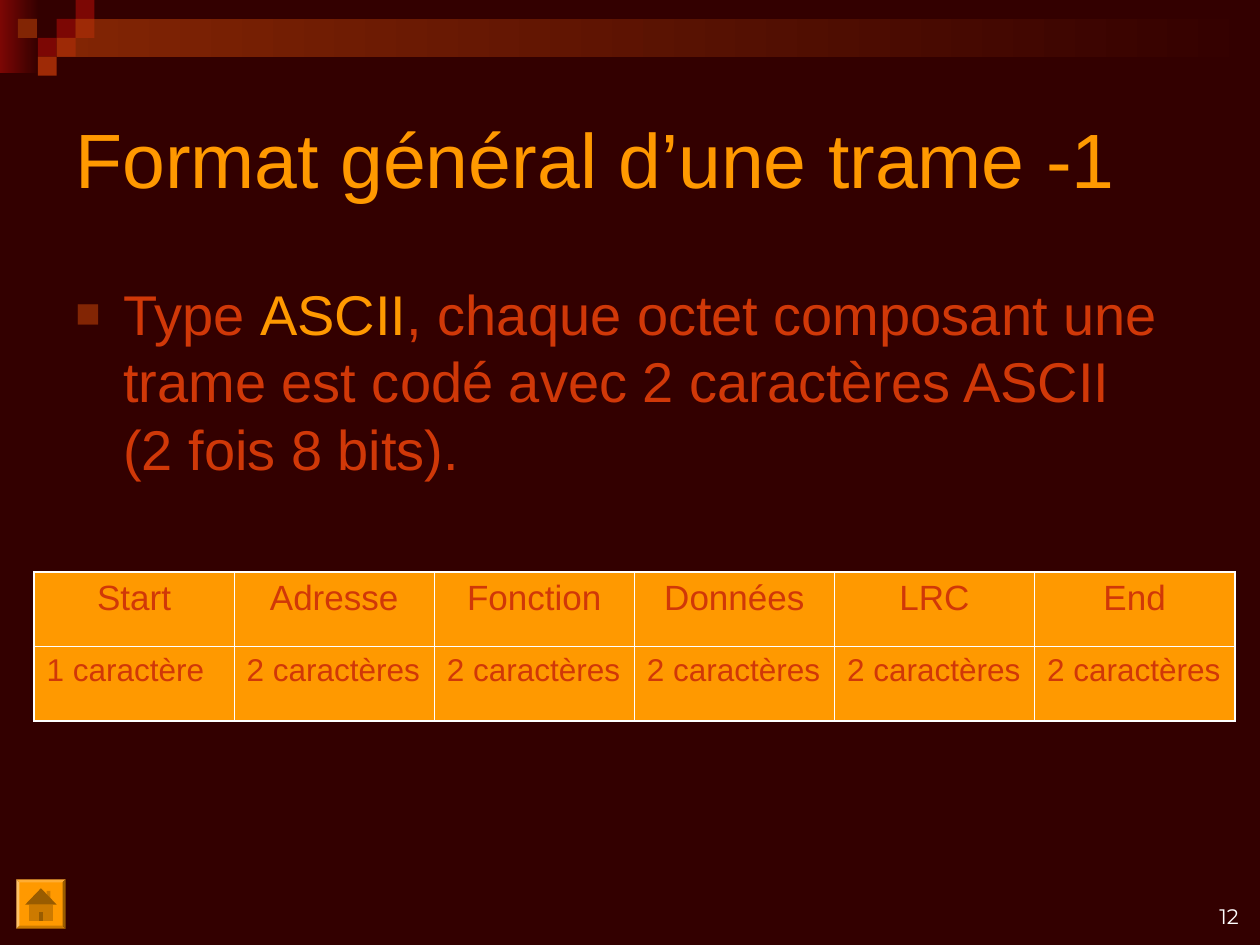
from dataclasses import dataclass

from lxml.etree import SubElement
from pptx import Presentation
from pptx.dml.color import RGBColor
from pptx.enum.shapes import MSO_SHAPE
from pptx.enum.text import MSO_ANCHOR, PP_ALIGN
from pptx.oxml.ns import qn
from pptx.util import Inches, Pt


@dataclass(frozen=True)
class Theme:
    """Colours, fonts and type sizes of the slide."""

    background: str = "330000"
    crimson: str = "7C0704"
    rust: str = "822504"
    ember: str = "9E2A06"
    accent: str = "FF9900"
    body: str = "D03808"
    roof: str = "995C00"
    wall: str = "CC7A00"
    white: str = "FFFFFF"
    font: str = "Arial"
    number_font: str = "Montserrat"
    title_size: float = 44
    body_size: float = 32
    header_size: float = 20
    cell_size: float = 18
    number_size: float = 12


def rgb(color):
    """Turn a hex string into a colour."""
    return RGBColor.from_string(color)


def set_formats(target, formats):
    """Set every attribute named in a dict of format values."""
    for name, value in formats.items():
        setattr(target, name, value)


class SlideBuilder:
    """Draws elements on a grid of 100 columns by 75 rows."""

    CELL = 0.1

    def __init__(self, presentation, theme):
        """Add a blank slide with the theme background."""
        self.theme = theme
        self.slide = presentation.slides.add_slide(presentation.slide_layouts[6])
        self.shapes = self.slide.shapes
        fill = self.slide.background.fill
        fill.solid()
        fill.fore_color.rgb = rgb(theme.background)

    def lengths(self, *units):
        """Convert grid units to slide lengths."""
        return [Inches(unit * self.CELL) for unit in units]

    def paint(self, shape, color):
        """Give a shape a plain fill with no line or shadow."""
        shape.shadow.inherit = False
        shape.fill.solid()
        shape.fill.fore_color.rgb = rgb(color)
        shape.line.fill.background()

    def block(self, area, color, preset=MSO_SHAPE.RECTANGLE):
        """Add a preset shape in one colour."""
        shape = self.shapes.add_shape(preset, *self.lengths(*area))
        self.paint(shape, color)
        return shape

    def fade(self, area, color):
        """Add a rectangle fading rightwards into the background."""
        fill = self.block(area, color).fill
        fill.gradient()
        fill.gradient_angle = 0
        for stop, shade in zip(fill.gradient_stops, (color, self.theme.background)):
            stop.color.rgb = rgb(shade)

    def polygon(self, points, color):
        """Add a closed outline through grid points."""
        start, *others = [self.lengths(*point) for point in points]
        builder = self.shapes.build_freeform(*start)
        builder.add_line_segments(others, close=True)
        self.paint(builder.convert_to_shape(), color)

    def add_runs(self, paragraph, runs, size, font=None, alignment=PP_ALIGN.LEFT):
        """Fill a paragraph with pairs of text and colour."""
        paragraph.alignment = alignment
        for text, color in runs:
            run = paragraph.add_run()
            run.text = text
            set_formats(run.font, {"size": Pt(size), "name": font or self.theme.font})
            run.font.color.rgb = rgb(color)

    def text(self, area, runs, size, anchor=MSO_ANCHOR.TOP, **style):
        """Add a wrapped text box and return its paragraph."""
        frame = self.shapes.add_textbox(*self.lengths(*area)).text_frame
        set_formats(frame, {"word_wrap": True, "vertical_anchor": anchor})
        paragraph = frame.paragraphs[0]
        self.add_runs(paragraph, runs, size, **style)
        return paragraph

    def bullet(self, paragraph, color, indent):
        """Give a paragraph a square bullet and hanging indent."""
        properties = paragraph._p.get_or_add_pPr()
        hang = Inches(indent)
        properties.set("marL", str(hang))
        properties.set("indent", str(-hang))
        SubElement(SubElement(properties, qn("a:buClr")), qn("a:srgbClr"), val=color)
        SubElement(properties, qn("a:buSzPct"), val="75000")
        SubElement(properties, qn("a:buFont"), typeface=self.theme.font)
        SubElement(properties, qn("a:buChar"), char="■")

    def borders(self, cell, outer):
        """Draw cell borders, thicker on the outer sides."""
        properties = cell._tc.get_or_add_tcPr()
        for position, side in enumerate(("lnL", "lnR", "lnT", "lnB")):
            width = Pt(1.08 if side in outer else 0.45)
            line = SubElement(properties, qn(f"a:{side}"), w=str(width))
            properties.remove(line)
            properties.insert(position, line)
            fill = SubElement(line, qn("a:solidFill"))
            SubElement(fill, qn("a:srgbClr"), val=self.theme.white)

    def table(self, area, rows, formats):
        """Add a table with one size and alignment for each row."""
        last_row, last_column = len(rows) - 1, len(rows[0]) - 1
        table = self.shapes.add_table(len(rows), len(rows[0]), *self.lengths(*area)).table
        set_formats(table, {"first_row": False, "horz_banding": False})
        for row, (texts, (size, alignment)) in enumerate(zip(rows, formats)):
            for column, text in enumerate(texts):
                cell = table.cell(row, column)
                cell.fill.solid()
                cell.fill.fore_color.rgb = rgb(self.theme.accent)
                runs = [(text, self.theme.body)]
                self.add_runs(cell.text_frame.paragraphs[0], runs, size, alignment=alignment)
                edges = {"lnL": column == 0, "lnR": column == last_column,
                         "lnT": row == 0, "lnB": row == last_row}
                self.borders(cell, [side for side, outer in edges.items() if outer])

    def home_button(self, area):
        """Add a bevelled button with a house on it."""
        theme = self.theme
        self.block(area, theme.accent, MSO_SHAPE.BEVEL).adjustments[0] = 0.06
        self.polygon([(3.7, 71), (3.7, 70.7), (4, 70.7), (4, 71.3)], theme.wall)
        self.polygon([(2.3, 71.8), (4.2, 71.8), (4.2, 73.1), (2.3, 73.1)], theme.wall)
        self.polygon([(3.25, 70.5), (4.5, 71.8), (2, 71.8)], theme.roof)
        self.polygon([(3.1, 72.4), (3.4, 72.4), (3.4, 73.1), (3.1, 73.1)], theme.roof)


def main():
    """Build the slide about the ASCII frame format."""
    presentation = Presentation()
    set_formats(presentation, {"slide_width": Inches(10), "slide_height": Inches(7.5)})
    theme = Theme()
    builder = SlideBuilder(presentation, theme)

    builder.fade((0, 0, 3.1, 5.8), theme.crimson)
    builder.fade((4.5, 1.5, 95.5, 3), theme.rust)
    mosaic = {theme.crimson: [(3, 1), (4, 0), (2, 2)],
              theme.ember: [(4, 1), (3, 2), (2, 3)],
              theme.rust: [(0.95, 1)]}
    for color, tiles in mosaic.items():
        for column, row in tiles:
            builder.block((column * 1.5, row * 1.5, 1.5, 1.5), color)

    builder.text((5, 5, 93, 15), [("Format général d’une trame -1", theme.accent)],
                 theme.title_size, MSO_ANCHOR.MIDDLE)
    sentence = [("Type ", theme.body), ("ASCII", theme.accent),
                (", chaque octet composant une trame est codé avec 2 caractères "
                 "ASCII (2 fois 8 bits).", theme.body)]
    paragraph = builder.text((5, 21.7, 88.3, 17.4), sentence, theme.body_size)
    builder.bullet(paragraph, theme.rust, 0.38)

    fields = ["Start", "Adresse", "Fonction", "Données", "LRC", "End"]
    counts = ["1 caractère"] + ["2 caractères"] * 5
    builder.table((2.7, 45.4, 95.3, 11.8), [fields, counts],
                  [(theme.header_size, PP_ALIGN.CENTER), (theme.cell_size, PP_ALIGN.LEFT)])

    builder.home_button((1.3, 69.8, 3.9, 3.9))
    builder.text((76, 69.2, 23.3, 5), [("12", theme.white)], theme.number_size,
                 MSO_ANCHOR.BOTTOM, font=theme.number_font, alignment=PP_ALIGN.RIGHT)
    presentation.save("out.pptx")


if __name__ == "__main__":
    main()
